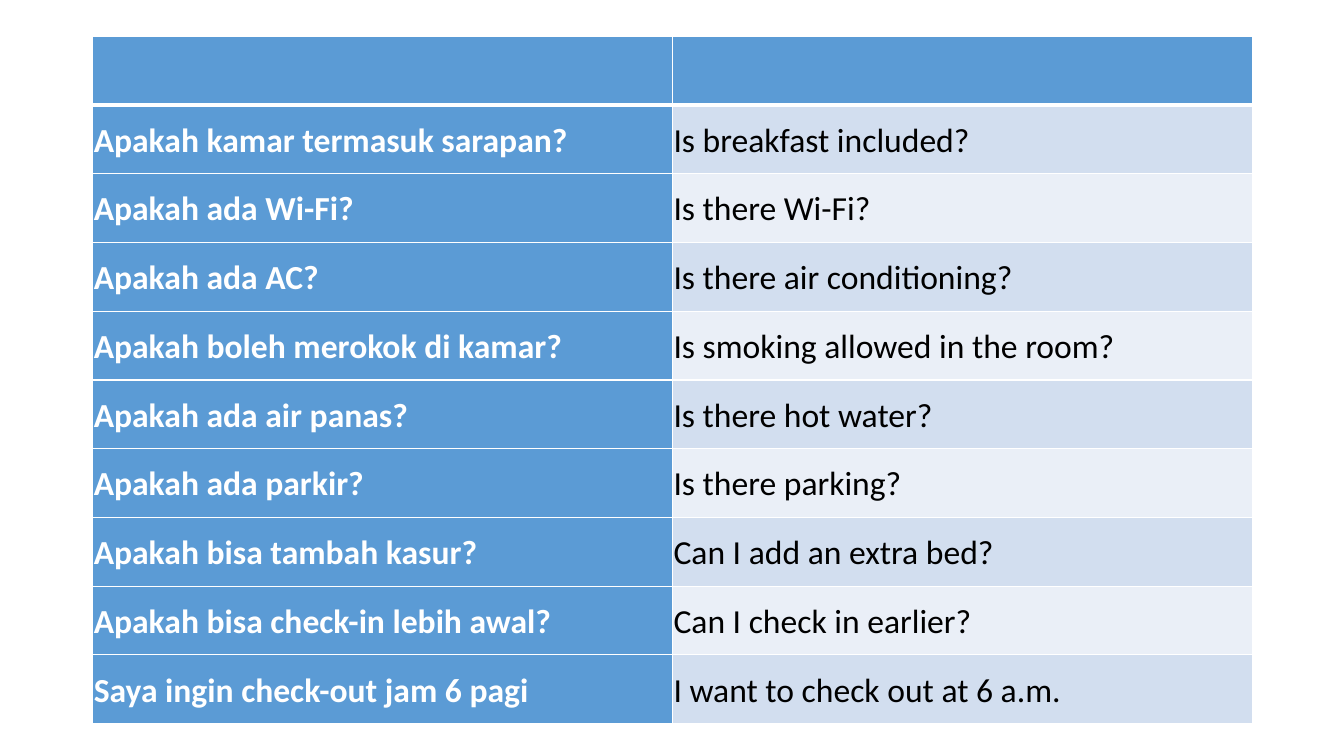
from lxml import etree
from pptx import Presentation
from pptx.dml.color import RGBColor
from pptx.enum.text import MSO_ANCHOR
from pptx.oxml.ns import qn
from pptx.util import Inches, Pt

HEADER_BLUE = RGBColor(0x5B, 0x9B, 0xD5)
BAND_DARK = RGBColor(0xD2, 0xDE, 0xEF)
BAND_LIGHT = RGBColor(0xEA, 0xEF, 0xF7)
WHITE = RGBColor(0xFF, 0xFF, 0xFF)
BLACK = RGBColor(0, 0, 0)

PHRASES = [
    ("", ""),
    ("Apakah kamar termasuk sarapan?", "Is breakfast included?"),
    ("Apakah ada Wi-Fi?", "Is there Wi-Fi?"),
    ("Apakah ada AC?", "Is there air conditioning?"),
    ("Apakah boleh merokok di kamar?", "Is smoking allowed in the room?"),
    ("Apakah ada air panas?", "Is there hot water?"),
    ("Apakah ada parkir?", "Is there parking?"),
    ("Apakah bisa tambah kasur?", "Can I add an extra bed?"),
    ("Apakah bisa check-in lebih awal?", "Can I check in earlier?"),
    ("Saya ingin check-out jam 6 pagi", "I want to check out at 6 a.m."),
]


def set_attributes(target, values):
    for name, value in values.items():
        setattr(target, name, value)


def add_borders(cell, widths):
    """Draw white cell borders; widths maps L, R, T, B to points."""
    properties = cell._tc.get_or_add_tcPr()
    for side, width in widths.items():
        line = etree.SubElement(properties, qn(f"a:ln{side}"), w=str(Pt(width)))
        fill = etree.SubElement(line, qn("a:solidFill"))
        etree.SubElement(fill, qn("a:srgbClr"), val=str(WHITE))


def fill_cell(cell, text, color, is_label):
    cell.fill.solid()
    cell.fill.fore_color.rgb = color
    margins = dict.fromkeys(
        ("margin_left", "margin_right", "margin_top", "margin_bottom"), Inches(0.01))
    set_attributes(cell, {"vertical_anchor": MSO_ANCHOR.MIDDLE, **margins})
    paragraph = cell.text_frame.paragraphs[0]
    paragraph.line_spacing = 1.07
    set_attributes(paragraph.font, {"name": "Calibri", "size": Pt(24)})
    if text:
        run = paragraph.add_run()
        run.text = text
        set_attributes(run.font, {"name": "Calibri", "size": Pt(24), "bold": is_label})
        run.font.color.rgb = WHITE if is_label else BLACK


def add_phrase_table(slide, left, top, width, height):
    """Place the two-language table with a blank header and banded rows."""
    table = slide.shapes.add_table(
        len(PHRASES), len(PHRASES[0]), left, top, width, height).table
    for column in table.columns:
        column.width = width // len(table.columns)
    for row_index, phrases in enumerate(PHRASES):
        table.rows[row_index].height = height // len(PHRASES)
        band = BAND_DARK if row_index % 2 else BAND_LIGHT
        borders = {"L": 1, "R": 1,
                   "T": 3 if row_index == 1 else 1,
                   "B": 3 if row_index == 0 else 1}
        for column_index, text in enumerate(phrases):
            cell = table.cell(row_index, column_index)
            is_label = row_index == 0 or column_index == 0
            add_borders(cell, borders)
            fill_cell(cell, text, HEADER_BLUE if is_label else band, is_label)


def main():
    presentation = Presentation()
    presentation.slide_width = Inches(13.33)
    presentation.slide_height = Inches(7.5)
    slide = presentation.slides.add_slide(presentation.slide_layouts[6])
    add_phrase_table(slide, Inches(0.92), Inches(0.36), Inches(11.5), Inches(6.82))
    presentation.save("out.pptx")


if __name__ == "__main__":
    main()
